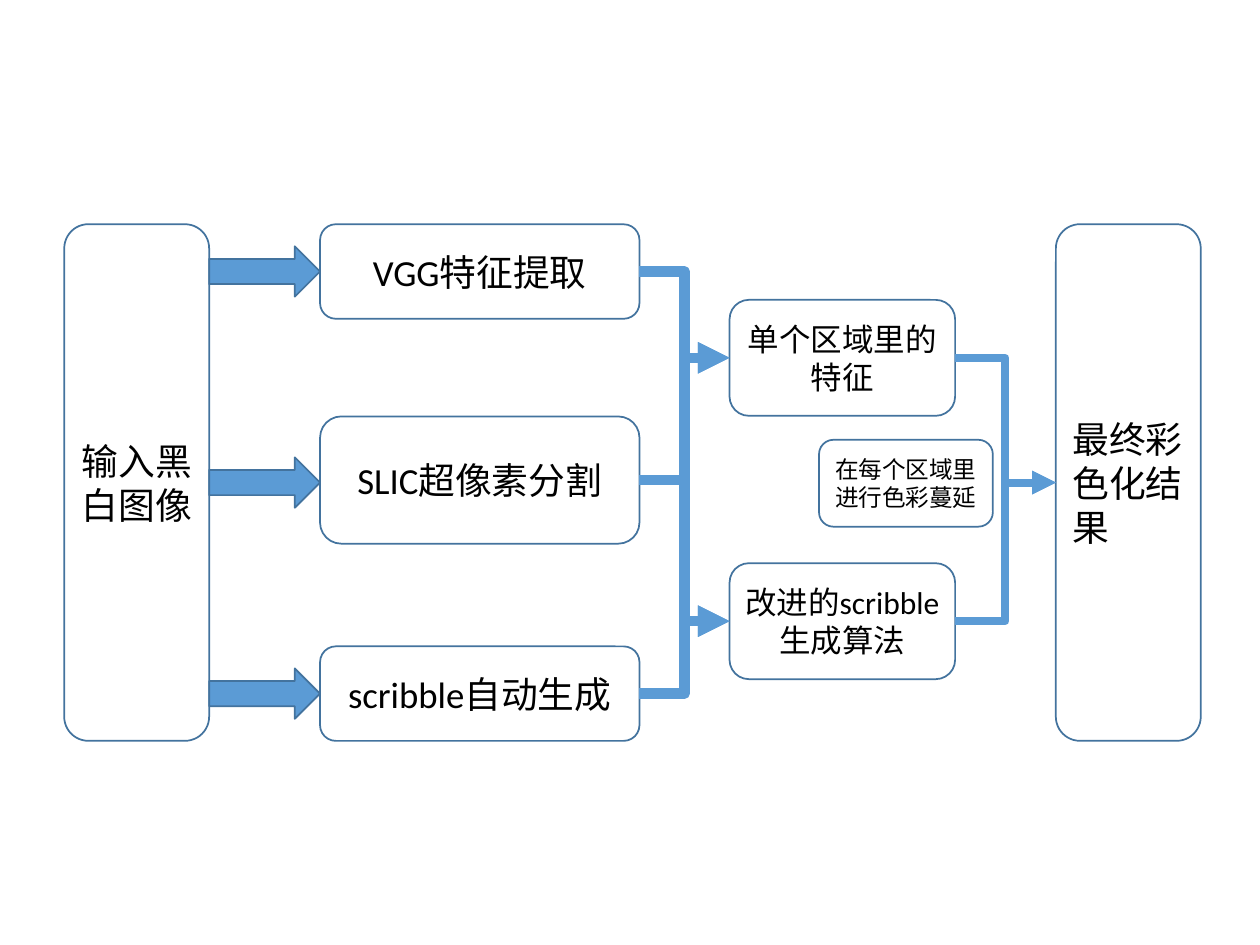
from dataclasses import dataclass

from lxml.etree import SubElement
from pptx import Presentation
from pptx.dml.color import RGBColor
from pptx.enum.shapes import MSO_CONNECTOR, MSO_SHAPE
from pptx.enum.text import MSO_ANCHOR, PP_ALIGN
from pptx.oxml.ns import qn
from pptx.shapes.autoshape import Shape
from pptx.slide import Slide
from pptx.util import Inches, Length, Pt

COLORS = {"outline": "43739E", "flow": "5B9BD5", "text": "000000", "paper": "FFFFFF"}
FONT = "Calibri"
GRID_COLUMNS, GRID_ROWS = 100, 75
PAGE_WIDTH, PAGE_HEIGHT = Inches(10), Inches(7.5)
LEFT_SITE, RIGHT_SITE = 1, 3


@dataclass(frozen=True)
class Stage:
    text: str
    column: float
    row: float
    columns: float
    rows: float
    size: float = 21
    align: PP_ALIGN = PP_ALIGN.CENTER
    fill: str | None = None

    @property
    def middle(self) -> float:
        return self.row + self.rows / 2


@dataclass(frozen=True)
class Link:
    start: str
    end: str
    weight: float


SOURCE = Stage("输入黑白图像", 5.1, 17.8, 11.5, 41)
RESULT = Stage("最终彩色化结果", 83.8, 17.8, 11.5, 41, align=PP_ALIGN.LEFT)
STEPS = {
    "features": Stage("VGG特征提取", 25.4, 17.8, 25.35, 7.5),
    "segments": Stage("SLIC超像素分割", 25.4, 33.05, 25.35, 10.1),
    "scribbles": Stage("scribble自动生成", 25.4, 51.3, 25.35, 7.5),
}
STAGES = {
    "source": SOURCE,
    **STEPS,
    "region": Stage("单个区域里的特征", 57.9, 23.8, 17.9, 9.2, 18),
    "improved": Stage("改进的scribble生成算法", 57.9, 44.7, 17.9, 9.2, 18),
    "result": RESULT,
}
SPREADING = Stage("在每个区域里进行色彩蔓延", 65, 34.9, 13.8, 6.9, 13.5, fill="paper")
LINKS = [
    Link("features", "region", 6),
    Link("segments", "region", 6),
    Link("segments", "improved", 6),
    Link("scribbles", "improved", 6),
    Link("region", "result", 4.5),
    Link("improved", "result", 4.5),
]
ARROW_ROWS = 4
ARROW_MIDDLES = [STEPS["features"].middle, SOURCE.middle, STEPS["scribbles"].middle]


def across(columns: float) -> Length:
    return Length(round(PAGE_WIDTH * columns / GRID_COLUMNS))


def down(rows: float) -> Length:
    return Length(round(PAGE_HEIGHT * rows / GRID_ROWS))


def color(name: str) -> RGBColor:
    return RGBColor.from_string(COLORS[name])


def add_outlined(page: Slide, kind: MSO_SHAPE, column: float, row: float,
                 columns: float, rows: float, fill: str | None) -> Shape:
    shape = page.shapes.add_shape(kind, across(column), down(row), across(columns), down(rows))
    shape.shadow.inherit = False
    shape.line.color.rgb = color("outline")
    shape.line.width = Pt(1)
    if fill is None:
        shape.fill.background()
    else:
        shape.fill.solid()
        shape.fill.fore_color.rgb = color(fill)
    return shape


def add_stage(page: Slide, stage: Stage) -> Shape:
    box = add_outlined(page, MSO_SHAPE.ROUNDED_RECTANGLE, stage.column, stage.row,
                       stage.columns, stage.rows, stage.fill)
    frame = box.text_frame
    frame.word_wrap = True
    frame.vertical_anchor = MSO_ANCHOR.MIDDLE
    frame.margin_left = frame.margin_right = across(0.75)
    frame.margin_top = frame.margin_bottom = down(0.38)
    para = frame.paragraphs[0]
    para.alignment = stage.align
    span = para.add_run()
    span.text = stage.text
    span.font.name = FONT
    span.font.size = Pt(stage.size)
    span.font.color.rgb = color("text")
    return box


def add_input_arrow(page: Slide, middle: float) -> None:
    start = SOURCE.column + SOURCE.columns
    add_outlined(page, MSO_SHAPE.RIGHT_ARROW, start, middle - ARROW_ROWS / 2,
                 STEPS["features"].column - start, ARROW_ROWS, "flow")


def add_link(page: Slide, link: Link, boxes: dict[str, Shape]) -> None:
    """Join the right side of one box to the left side of another."""
    connector = page.shapes.add_connector(MSO_CONNECTOR.ELBOW, 0, 0, 0, 0)
    connector.begin_connect(boxes[link.start], RIGHT_SITE)
    connector.end_connect(boxes[link.end], LEFT_SITE)
    connector.line.color.rgb = color("flow")
    connector.line.width = Pt(link.weight)
    SubElement(connector.line._get_or_add_ln(), qn("a:tailEnd"), type="triangle")
    SubElement(connector._element.spPr, qn("a:effectLst"))


def main() -> None:
    deck = Presentation()
    deck.slide_width, deck.slide_height = PAGE_WIDTH, PAGE_HEIGHT
    page = deck.slides.add_slide(deck.slide_layouts[6])
    boxes = {name: add_stage(page, stage) for name, stage in STAGES.items()}
    for middle in ARROW_MIDDLES:
        add_input_arrow(page, middle)
    for link in LINKS:
        add_link(page, link, boxes)
    add_stage(page, SPREADING)
    deck.save("out.pptx")


if __name__ == "__main__":
    main()
